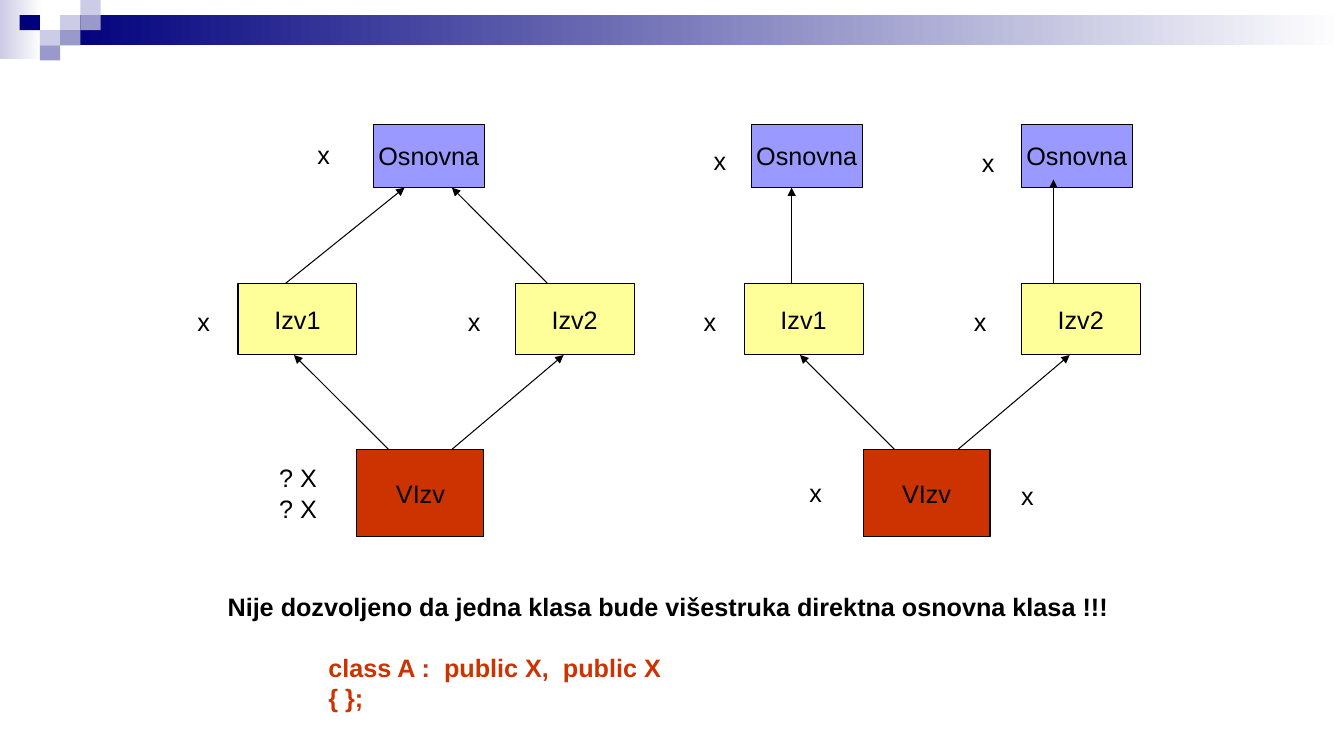
import pptx
import pptx.util
import pptx.dml.color
import pptx.enum.shapes
import pptx.enum.text
import pptx.oxml
from lxml import etree

Pt = pptx.util.Pt
RGBColor = pptx.dml.color.RGBColor
RECTANGLE = pptx.enum.shapes.MSO_SHAPE.RECTANGLE

BLACK = RGBColor(0x00, 0x00, 0x00)
WHITE = RGBColor(0xFF, 0xFF, 0xFF)
NAVY = RGBColor(0x00, 0x00, 0x7D)
LAVENDER = RGBColor(0xCC, 0xCC, 0xE6)
SLATE = RGBColor(0x99, 0x99, 0xCC)
BASE_BLUE = RGBColor(0x99, 0x99, 0xFF)
DERIVED_YELLOW = RGBColor(0xFF, 0xFF, 0x99)
FINAL_RED = RGBColor(0xCC, 0x33, 0x00)

BASE_SIZE = (79.4, 45.4)
DERIVED_SIZE = (85, 51.2)
FINAL_SIZE = (90.7, 62.6)
DERIVED_TOP = 113.8
FINAL_TOP = 232.4
DERIVED_BOTTOM = DERIVED_TOP + DERIVED_SIZE[1]


def format_text(paragraph, color=BLACK, bold=False):
    for run in paragraph.runs:
        run.font.name = "Arial"
        run.font.size = Pt(18)
        run.font.bold = bold
        run.font.color.rgb = color


def add_block(slide, left, top, width, height):
    block = slide.shapes.add_shape(RECTANGLE, Pt(left), Pt(top), Pt(width), Pt(height))
    block.shadow.inherit = False
    block.line.fill.background()
    return block


def add_fade(slide, left, top, width, height, start):
    fade = add_block(slide, left, top, width, height)
    fade.fill.gradient()
    fade.fill.gradient_angle = 0
    for stop, position, color in zip(fade.fill.gradient_stops, (0, 1), (start, WHITE)):
        stop.position = position
        stop.color.rgb = color


def add_header(slide, left, top, width):
    add_fade(slide, left, top, 30.2, 42, LAVENDER)
    add_fade(slide, left + 43.2, top + 10.8, width - 43.2, 21.6, NAVY)
    mosaic = [(2, 1, LAVENDER), (3, 0, LAVENDER), (3, 1, SLATE), (1, 2, LAVENDER),
              (0, 1, NAVY), (2, 2, SLATE), (1, 3, SLATE)]
    for column, row, color in mosaic:
        tile = add_block(slide, left + 14 + 14.5 * column, top + 10.8 * row, 14.5, 10.8)
        tile.fill.solid()
        tile.fill.fore_color.rgb = color


def add_class(slide, name, left, top, size, color):
    class_box = add_block(slide, left, top, *size)
    class_box.fill.solid()
    class_box.fill.fore_color.rgb = color
    class_box.line.color.rgb = BLACK
    class_box.line.width = Pt(0.75)
    frame = class_box.text_frame
    frame.word_wrap = False
    frame.vertical_anchor = pptx.enum.text.MSO_ANCHOR.MIDDLE
    frame.text = name
    frame.paragraphs[0].alignment = pptx.enum.text.PP_ALIGN.CENTER
    format_text(frame.paragraphs[0])


def add_arrow(slide, x1, y1, x2, y2):
    arrow = slide.shapes.add_connector(
        pptx.enum.shapes.MSO_CONNECTOR.STRAIGHT, Pt(x1), Pt(y1), Pt(x2), Pt(y2))
    arrow.line.color.rgb = BLACK
    arrow.line.width = Pt(0.75)
    line = arrow.line._get_or_add_ln()
    etree.SubElement(line, pptx.oxml.ns.qn("a:tailEnd"), type="triangle")
    etree.SubElement(arrow._element.spPr, pptx.oxml.ns.qn("a:effectLst"))


def add_member(slide, text, left, top, width=23.8, height=28.8):
    member = slide.shapes.add_textbox(Pt(left), Pt(top), Pt(width), Pt(height))
    member.text_frame.word_wrap = False
    member.text_frame.text = text
    for paragraph in member.text_frame.paragraphs:
        format_text(paragraph)


def add_hierarchy(slide, left, top, bases, base_arrows, members):
    for base_left in bases:
        add_class(slide, "Osnovna", left + base_left, top, BASE_SIZE, BASE_BLUE)
    for name, derived_left in (("Izv1", 0), ("Izv2", 198)):
        add_class(slide, name, left + derived_left, top + DERIVED_TOP,
                  DERIVED_SIZE, DERIVED_YELLOW)
        add_member(slide, "x", left + derived_left - 36 - derived_left / 40, top + 126.7)
    add_class(slide, "VIzv", left + 85, top + FINAL_TOP, FINAL_SIZE, FINAL_RED)
    for x1, x2, tip in base_arrows:
        add_arrow(slide, left + x1, top + DERIVED_TOP, left + x2, top + tip)
    for x1, x2 in ((107.5, 40), (152.8, 232.6)):
        add_arrow(slide, left + x1, top + FINAL_TOP, left + x2, top + DERIVED_BOTTOM)
    for text, member_left, member_top, *size in members:
        add_member(slide, text, left + member_left, top + member_top, *size)


def add_rule(slide, left, top, width, height):
    rule = slide.shapes.add_textbox(Pt(left), Pt(top), Pt(width), Pt(height))
    frame = rule.text_frame
    frame.word_wrap = True
    frame.text = ("Nije dozvoljeno da jedna klasa bude višestruka direktna osnovna klasa !!!\n"
                  "class A :  public X,  public X\n{ };")
    statement, *code_lines = frame.paragraphs
    format_text(statement, bold=True)
    for code_line in code_lines:
        code_line._p.get_or_add_pPr().set("marL", str(Pt(72)))
        format_text(code_line, FINAL_RED, True)
    code_lines[0].space_before = Pt(22)


def main():
    deck = pptx.Presentation()
    deck.slide_width, deck.slide_height = Pt(960), Pt(540)
    slide = deck.slides.add_slide(deck.slide_layouts[6])
    add_header(slide, 0, 0, 960)
    add_hierarchy(
        slide, 170, 88.6, [96.6],
        [(34, 119, BASE_SIZE[1]), (221, 152.8, BASE_SIZE[1])],
        [("x", 49.7, 7.4), ("? X\n? X", 22.3, 238.3, 41.8, 72)])
    add_hierarchy(
        slide, 531.5, 88.6, [5, 198],
        [(34, 34, BASE_SIZE[1]), (221, 221, 39.6)],
        [("x", -28.8, 11.4), ("x", 162.7, 13), ("x", 39.6, 249), ("x", 190.8, 251.3)])
    add_rule(slide, 155.5, 419, 645, 93.6)
    deck.save("out.pptx")


if __name__ == "__main__":
    main()
